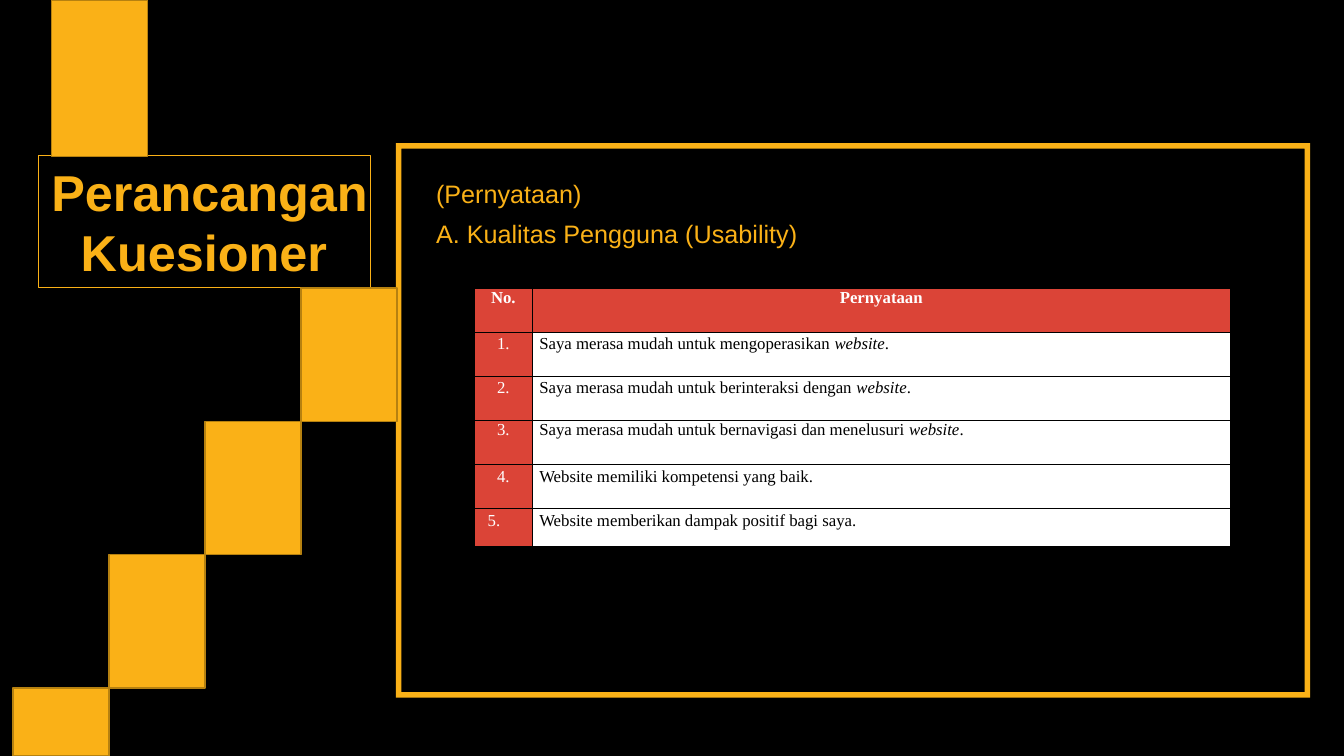
"""Builds the questionnaire design slide with its table of usability statements."""
import pptx
import pptx.dml.color
import pptx.enum.shapes
import pptx.enum.text
import pptx.oxml
import pptx.oxml.ns
import pptx.util

Cm, Pt = pptx.util.Cm, pptx.util.Pt
RGBColor = pptx.dml.color.RGBColor
SHAPE = pptx.enum.shapes.MSO_SHAPE
ALIGN = pptx.enum.text.PP_ALIGN
ANCHOR = pptx.enum.text.MSO_ANCHOR

BLACK = RGBColor(0x00, 0x00, 0x00)
WHITE = RGBColor(0xFF, 0xFF, 0xFF)
AMBER = RGBColor(0xFA, 0xB1, 0x17)
BRONZE = RGBColor(0xB6, 0x81, 0x10)
RED = RGBColor(0xDB, 0x44, 0x37)

SLIDE_W, SLIDE_H = 33.87, 19.05
STEP_W, STEP_H = 2.42, 3.36
TABLE_X, TABLE_Y, ROW_H = 11.96, 7.26, 1.11
COLUMNS = (1.45, 17.6)

STATEMENTS = [
    ("1.", "Saya merasa mudah untuk mengoperasikan website.", 1.15),
    ("2.", "Saya merasa mudah untuk berinteraksi dengan website.", 1.15),
    ("3.", "Saya merasa mudah untuk bernavigasi dan menelusuri website.", 1.0),
    ("4.", "Website memiliki kompetensi yang baik.", 1.15),
]


class Deck:
    def __init__(self):
        self.prs = pptx.Presentation()
        self.prs.slide_width, self.prs.slide_height = Cm(SLIDE_W), Cm(SLIDE_H)
        self.s = self.prs.slides.add_slide(self.prs.slide_layouts[6])
        self.s.background.fill.solid()
        self.s.background.fill.fore_color.rgb = BLACK

    def style(self, p, font, size, color, bold=False, align=ALIGN.LEFT):
        p.alignment = align
        p.font.name, p.font.size, p.font.bold = font, Pt(size), bold
        p.font.color.rgb = color

    def shape(self, kind, x, y, w, h, fill=None, line=None, line_pt=1):
        sp = self.s.shapes.add_shape(kind, Cm(x), Cm(y), Cm(w), Cm(h))
        sp.shadow.inherit = False
        if fill is None:
            sp.fill.background()
        else:
            sp.fill.solid()
            sp.fill.fore_color.rgb = fill
        if line is None:
            sp.line.fill.background()
        else:
            sp.line.color.rgb = line
            sp.line.width = Pt(line_pt)
        return sp

    def text(self, x, y, w, h, lines, size, bold=False, anchor=ANCHOR.TOP):
        tf = self.s.shapes.add_textbox(Cm(x), Cm(y), Cm(w), Cm(h)).text_frame
        tf.word_wrap = True
        tf.vertical_anchor = anchor
        for i, (line, align) in enumerate(lines):
            p = tf.add_paragraph() if i else tf.paragraphs[0]
            p.text = line
            self.style(p, "Arial", size, AMBER, bold, align)

    def table(self, y, row_h, count):
        sp = self.s.shapes.add_table(count, len(COLUMNS), Cm(TABLE_X), Cm(y),
                                     Cm(sum(COLUMNS)), Cm(row_h * count))
        for column, width in zip(sp.table.columns, COLUMNS):
            column.width = Cm(width)
        return sp.table

    def cell(self, cell, text, fill, color, align=ALIGN.LEFT, indent=0, spacing=1.0, bold=False):
        cell.margin_left = Cm(indent)
        cell.margin_right = cell.margin_top = cell.margin_bottom = 0
        tc_pr = cell._tc.get_or_add_tcPr()
        for side in ("lnL", "lnR", "lnT", "lnB"):
            tc_pr.append(pptx.oxml.parse_xml(
                f'<a:{side} {pptx.oxml.ns.nsdecls("a")} w="12700"><a:solidFill>'
                f'<a:srgbClr val="{BLACK}"/></a:solidFill></a:{side}>'))
        cell.fill.solid()
        cell.fill.fore_color.rgb = fill
        p = cell.text_frame.paragraphs[0]
        for part in filter(None, text.partition("website")):
            r = p.add_run()
            r.text = part
            if part == "website":
                r.font.italic = True
        p.line_spacing = spacing
        self.style(p, "Times New Roman", 12, color, bold, align)

    def statement(self, row, number, text, spacing, align=ALIGN.CENTER, indent=0):
        self.cell(row.cells[0], number, RED, WHITE, align, indent, spacing)
        self.cell(row.cells[1], text, WHITE, BLACK, indent=0.18, spacing=spacing)


def main():
    deck = Deck()
    frame = deck.shape(SHAPE.FRAME, 9.98, 3.61, 23.04, 13.97, AMBER)
    frame.adjustments[0] = 0.01
    deck.text(0.76, 3.91, 8.76, 3.33,
              [("Perancangan", ALIGN.RIGHT), ("Kuesioner", ALIGN.CENTER)],
              36, True, ANCHOR.MIDDLE)
    deck.text(10.74, 4.37, 4.22, 1.02, [("(Pernyataan)", ALIGN.LEFT)], 18)
    deck.text(10.74, 5.38, 9.7, 1.02, [("A. Kualitas Pengguna (Usability)", ALIGN.LEFT)], 18)

    table = deck.table(TABLE_Y, ROW_H, len(STATEMENTS) + 1)
    for cell, heading in zip(table.rows[0].cells, ("No.", "Pernyataan")):
        deck.cell(cell, heading, RED, WHITE, ALIGN.CENTER, bold=True)
    for i, entry in enumerate(STATEMENTS, 1):
        deck.statement(table.rows[i], *entry)
    last = deck.table(TABLE_Y + 5 * ROW_H, 0.97, 1)
    deck.statement(last.rows[0], "5.", "Website memberikan dampak positif bagi saya.",
                   1.15, ALIGN.LEFT, 0.33)

    deck.shape(SHAPE.RECTANGLE, 0.97, 3.91, 8.36, 3.33, line=AMBER, line_pt=0.75)
    deck.shape(SHAPE.RECTANGLE, 1.3, 0, STEP_W, 3.94, AMBER, BRONZE)
    for i in range(4):
        y = TABLE_Y + i * STEP_H
        deck.shape(SHAPE.RECTANGLE, 7.59 - i * STEP_W, y, STEP_W,
                   min(STEP_H, SLIDE_H - y), AMBER, BRONZE)
    deck.prs.save("out.pptx")


if __name__ == "__main__":
    main()
